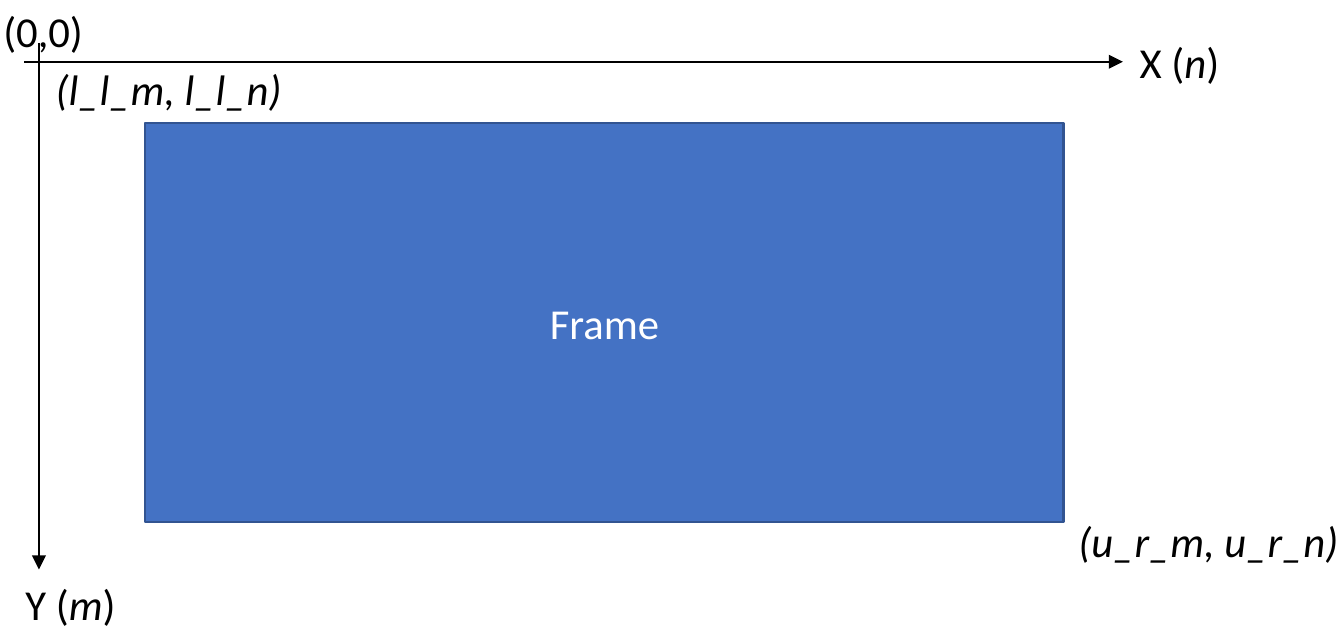
from dataclasses import dataclass

from lxml import etree
from pptx import Presentation
from pptx.dml.color import RGBColor
from pptx.enum.shapes import MSO_CONNECTOR, MSO_SHAPE
from pptx.enum.text import MSO_ANCHOR, MSO_AUTO_SIZE, PP_ALIGN
from pptx.oxml.ns import qn
from pptx.util import Cm, Pt

RECT = MSO_SHAPE.RECTANGLE
STRAIGHT = MSO_CONNECTOR.STRAIGHT
MIDDLE = MSO_ANCHOR.MIDDLE
FIT_SHAPE = MSO_AUTO_SIZE.SHAPE_TO_FIT_TEXT
LEFT, CENTER = PP_ALIGN.LEFT, PP_ALIGN.CENTER
BLANK_LAYOUT = 6


@dataclass(frozen=True)
class Theme:
    font: str = "Calibri"
    size: Pt = Pt(18)
    line_width: Pt = Pt(1)
    ink: RGBColor = RGBColor(0x00, 0x00, 0x00)
    frame_fill: RGBColor = RGBColor(0x44, 0x72, 0xC4)
    frame_line: RGBColor = RGBColor(0x32, 0x54, 0x91)
    frame_text: RGBColor = RGBColor(0xFF, 0xFF, 0xFF)


THEME = Theme()


def write(tf, text, color=THEME.ink, align=LEFT):
    """Write one paragraph; parts between asterisks are italic."""
    p = tf.paragraphs[0]
    p.alignment = align
    for i, part in enumerate(text.split("*")):
        if part:
            r = p.add_run()
            r.text = part
            r.font.name = THEME.font
            r.font.size = THEME.size
            r.font.color.rgb = color
            r.font.italic = i % 2 == 1


def add_frame(shapes, text, left, top, width, height):
    s = shapes.add_shape(RECT, Cm(left), Cm(top), Cm(width), Cm(height))
    s.shadow.inherit = False
    s.fill.solid()
    s.fill.fore_color.rgb = THEME.frame_fill
    s.line.color.rgb = THEME.frame_line
    s.line.width = THEME.line_width
    s.text_frame.vertical_anchor = MIDDLE
    write(s.text_frame, text, color=THEME.frame_text, align=CENTER)


def add_axis(shapes, x1, y1, x2, y2):
    s = shapes.add_connector(STRAIGHT, Cm(x1), Cm(y1), Cm(x2), Cm(y2))
    s.line.color.rgb = THEME.ink
    s.line.width = THEME.line_width
    etree.SubElement(s.line._get_or_add_ln(), qn("a:tailEnd"), type="triangle")
    etree.SubElement(s._element.spPr, qn("a:effectLst"))


def add_label(shapes, text, left, top, width):
    s = shapes.add_textbox(Cm(left), Cm(top), Cm(width), Cm(1.02))
    tf = s.text_frame
    tf.word_wrap = True
    tf.auto_size = FIT_SHAPE
    write(tf, text)


def main():
    prs = Presentation()
    prs.slide_width, prs.slide_height = Cm(20), Cm(9.5)
    slide = prs.slides.add_slide(prs.slide_layouts[BLANK_LAYOUT])
    shapes = slide.shapes.add_group_shape().shapes

    # Frame inside the coordinate system
    add_frame(shapes, "Frame", 2.16, 1.83, 13.67, 5.94)

    # Axes crossing at the origin
    origin_x, origin_y = 0.58, 0.92
    x_end, y_end = 16.71, 8.48
    add_axis(shapes, origin_x, 0.64, origin_x, y_end)
    add_axis(shapes, 0.36, origin_y, x_end, origin_y)

    # Axis names
    add_label(shapes, "Y (*m*)", 0.13, y_end, 3.45)
    add_label(shapes, "X (*n*)", x_end, 0.41, 3.45)

    # Points: frame corners and origin
    add_label(shapes, "*(l_l_m, l_l_n)*", origin_x, 0.81, 4.93)
    add_label(shapes, "(0,0)", -0.2, -0.05, 3.45)
    add_label(shapes, "*(u_r_m, u_r_n)*", 15.8, 7.54, 4.93)

    prs.save("out.pptx")


main()
